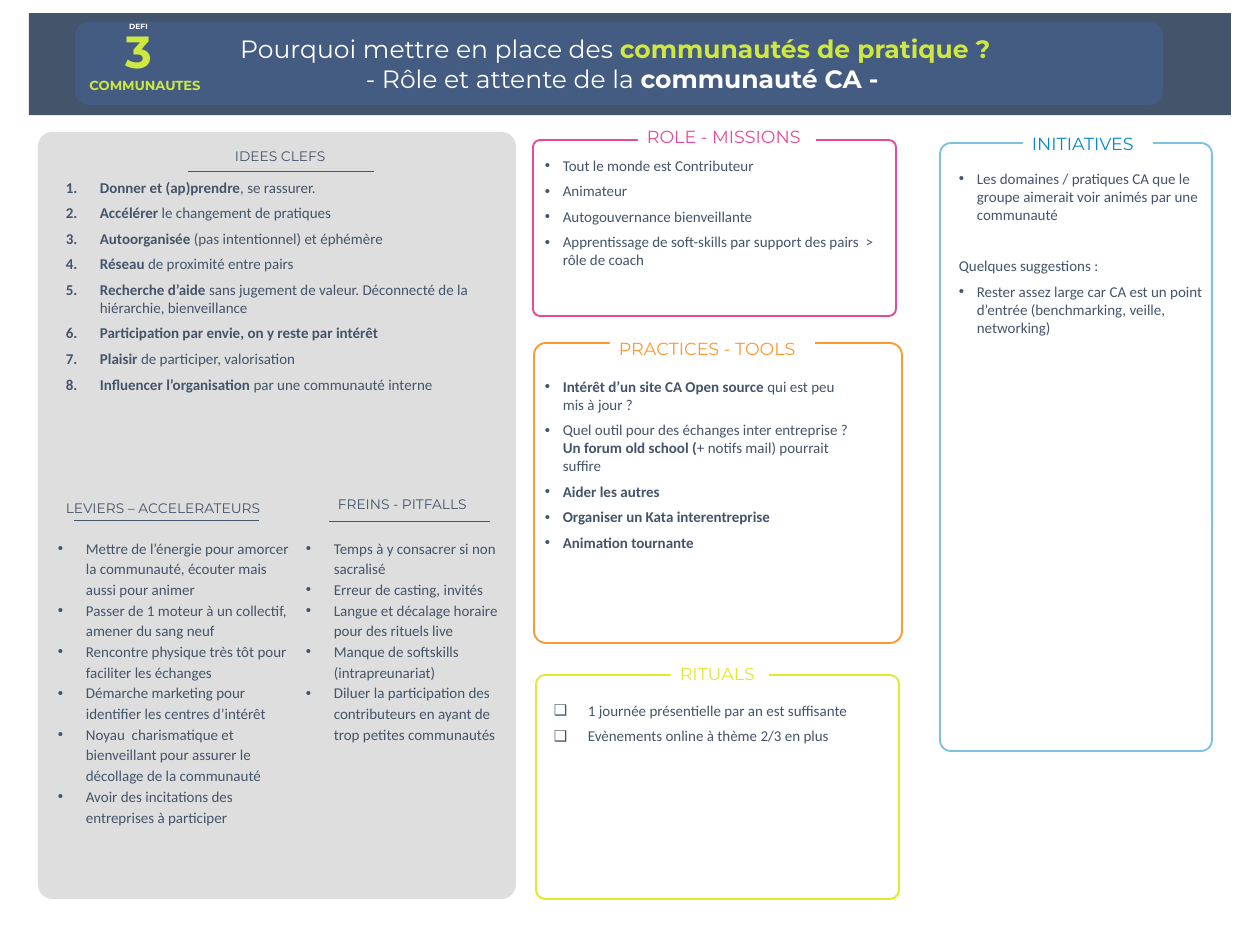
import pptx
import pptx.util
import pptx.dml.color
import pptx.enum.shapes
import pptx.enum.text
import pptx.oxml.ns
import lxml.etree

RGB = pptx.dml.color.RGBColor
KIND = pptx.enum.shapes.MSO_SHAPE
ALIGN = pptx.enum.text.PP_ALIGN
SIZING = pptx.enum.text.MSO_AUTO_SIZE
ANCHOR = pptx.enum.text.MSO_ANCHOR

WHITE = RGB(0xFF, 0xFF, 0xFF)
SLATE = RGB(0x44, 0x54, 0x6A)
GRAY = RGB(0xA6, 0xA6, 0xA6)
BLUE = RGB(0x44, 0x72, 0xC4)
LIME = RGB(0xCF, 0xE8, 0x41)
SKY = RGB(0x7C, 0xC2, 0xE0)
AZURE = RGB(0x04, 0x8B, 0xC3)
YELLOW = RGB(0xE5, 0xE7, 0x2E)
ORANGE = RGB(0xFF, 0x98, 0x32)
PINK = RGB(0xEA, 0x49, 0x95)


def px(count):
    return pptx.util.Emu(count * 10160)


def child(parent, tag, **attrs):
    return lxml.etree.SubElement(parent, pptx.oxml.ns.qn(tag), **attrs)


class Board:
    title_font = "Montserrat"
    body_font = "Calibri"

    def __init__(self, slide):
        self.slide = slide

    def box(self, x, y, w, h, fill=None, line=None, round=0.0, alpha=None):
        shape = self.slide.shapes.add_shape(
            KIND.ROUNDED_RECTANGLE, px(x), px(y), px(w), px(h))
        shape.adjustments[0] = round
        shape.shadow.inherit = False
        if fill is None:
            shape.fill.background()
        else:
            shape.fill.solid()
            shape.fill.fore_color.rgb = fill
        if alpha:
            color = shape.fill._xPr.find(".//" + pptx.oxml.ns.qn("a:srgbClr"))
            child(color, "a:alpha", val=str(alpha * 1000))
        if line is None:
            shape.line.fill.background()
        else:
            shape.line.color.rgb = line
            shape.line.width = pptx.util.Pt(1.5)
        return shape

    def run(self, para, text, size, color, bold=False, font=None):
        run = para.add_run()
        run.text = text
        run.font.name = font or self.title_font
        run.font.size = pptx.util.Pt(size)
        run.font.color.rgb = color
        run.font.bold = bold

    def frame(self, x, y, w, h, wrap=True):
        shape = self.slide.shapes.add_textbox(px(x), px(y), px(w), px(h))
        shape.text_frame.word_wrap = wrap
        shape.text_frame.auto_size = SIZING.SHAPE_TO_FIT_TEXT
        return shape

    def label(self, x, y, w, h, text, size, color, bold=False,
              align=ALIGN.LEFT, wrap=False, inset=True, fill=None):
        shape = self.frame(x, y, w, h, wrap)
        if fill is not None:
            shape.fill.solid()
            shape.fill.fore_color.rgb = fill
        text_frame = shape.text_frame
        if not inset:
            text_frame.margin_left = text_frame.margin_right = 0
            text_frame.margin_top = text_frame.margin_bottom = 0
        para = text_frame.paragraphs[0]
        para.alignment = align
        self.run(para, text, size, color, bold)

    def rule(self, x, y, w):
        line = self.slide.shapes.add_connector(
            pptx.enum.shapes.MSO_CONNECTOR.STRAIGHT, px(x), px(y), px(x + w), px(y))
        line.line.color.rgb = SLATE
        line.line.width = pptx.util.Pt(0.5)
        child(line._element.spPr, "a:effectLst")

    def items(self, x, y, w, h, rows, mark="•", indent=18, after=6, lead=1.0):
        text_frame = self.frame(x, y, w, h).text_frame
        for i, row in enumerate(rows):
            para = text_frame.paragraphs[0] if i == 0 else text_frame.add_paragraph()
            para.space_after = pptx.util.Pt(after)
            para.line_spacing = lead
            if not row.startswith("#"):
                self.mark(para, mark, indent)
            for j, part in enumerate(row.lstrip("#").split("*")):
                if part:
                    self.run(para, part, 12, SLATE, j % 2 == 1, self.body_font)
        return text_frame

    def mark(self, para, mark, indent):
        props = para._p.get_or_add_pPr()
        props.set("marL", str(px(indent)))
        props.set("indent", str(-px(indent)))
        if mark == "1.":
            child(props, "a:buFont", typeface="+mj-lt")
            child(props, "a:buAutoNum", type="arabicPeriod")
        else:
            child(props, "a:buFont", typeface="Arial")
            child(props, "a:buChar", char=mark)

    def banner(self, x, y, w, h, lines):
        shape = self.box(x, y, w, h, BLUE, round=0.17, alpha=27)
        text_frame = shape.text_frame
        text_frame.word_wrap = True
        text_frame.vertical_anchor = ANCHOR.MIDDLE
        for i, line in enumerate(lines):
            para = text_frame.paragraphs[0] if i == 0 else text_frame.add_paragraph()
            para.alignment = ALIGN.CENTER
            for text, color, bold in line:
                self.run(para, text, 20, color, bold)


def main():
    deck = pptx.Presentation()
    deck.slide_width, deck.slide_height = px(1260), px(945)
    board = Board(deck.slides.add_slide(deck.slide_layouts[6]))

    board.box(38, 132, 478, 767, GRAY, round=0.03, alpha=37)
    board.box(29, 13, 1202, 102, SLATE)
    board.banner(75, 22, 1088, 83, [
        [("Pourquoi mettre en place des ", WHITE, False),
         ("communautés de pratique ? ", LIME, True)],
        [(" - Rôle et attente de la ", WHITE, False),
         ("communauté CA -", WHITE, True)]])

    ideas = board.items(950, 165, 271, 231, [
        "Les domaines / pratiques CA que le groupe aimerait voir animés par une communauté",
        "#Quelques suggestions :",
        "Rester assez large car CA est un point d’entrée (benchmarking, veille, networking)"])
    ideas.paragraphs[0].space_after = pptx.util.Pt(26.5)
    board.items(536, 152, 368, 122, [
        "Tout le monde est Contributeur",
        "Animateur",
        "Autogouvernance bienveillante",
        "Apprentissage de soft-skills par support des pairs  > rôle de coach"])
    board.items(536, 373, 331, 213, [
        "*Intérêt d’un site CA Open source *qui est peu mis à jour ?",
        "Quel outil pour des échanges inter entreprise ? "
        "*Un forum old school (*+ notifs mail) pourrait suffire",
        "*Aider les autres*",
        "*Organiser un Kata interentreprise*",
        "*Animation tournante*"])
    board.items(545, 697, 350, 82, [
        "1 journée présentielle par an est suffisante",
        "Evènements online à thème 2/3 en plus"], "❑", 34)
    board.items(57, 174, 445, 291, [
        "*Donner et (ap)prendre*, se rassurer.",
        "*Accélérer* le changement de pratiques",
        "*Autoorganisée *(pas intentionnel) et éphémère",
        "*Réseau *de proximité entre pairs",
        "*Recherche d’aide *sans jugement de valeur. "
        "Déconnecté de la hiérarchie, bienveillance",
        "*Participation par envie, on y reste par intérêt*",
        "*Plaisir *de participer, valorisation",
        "*Influencer l’organisation *par une communauté interne"], "1.", 34)
    board.items(49, 532, 256, 323, [
        "Mettre de l’énergie pour amorcer la communauté, écouter mais aussi pour animer",
        "Passer de 1 moteur à un collectif, amener du sang neuf",
        "Rencontre physique très tôt pour faciliter les échanges",
        "Démarche marketing pour identifier les centres d’intérêt",
        "Noyau  charismatique et bienveillant pour assurer le décollage de la communauté",
        "Avoir des incitations des entreprises à participer"],
        indent=28, after=0, lead=1.15)
    board.items(297, 532, 220, 217, [
        "Temps à y consacrer si non sacralisé",
        "Erreur de casting, invités",
        "Langue et décalage horaire pour des rituels live",
        "Manque de softskills (intrapreunariat)",
        "Diluer la participation des contributeurs en ayant de trop petites communautés"],
        indent=28, after=0, lead=1.15)

    for text, x, y, w, left, top, wide in [
            ("IDEES CLEFS", 226, 143, 112, 188, 171, 186),
            ("LEVIERS – ACCELERATEURS", 57, 495, 221, 74, 520, 185),
            ("FREINS - PITFALLS", 329, 491, 154, 329, 521, 161)]:
        board.label(x, y, w, 26, text, 11, SLATE)
        board.rule(left, top, wide)

    for text, color, edge, frame, x, y, w in [
            ("INITIATIVES", AZURE, SKY, (940, 143, 272, 608), 1023, 129, 130),
            ("RITUALS", YELLOW, YELLOW, (536, 675, 363, 224), 671, 659, 98),
            ("PRACTICES - TOOLS", ORANGE, ORANGE, (534, 343, 368, 300), 610, 334, 205),
            ("ROLE - MISSIONS", PINK, PINK, (533, 140, 363, 176), 638, 122, 178)]:
        board.box(*frame, line=edge, round=0.04)
        board.label(x, y, w, 31, text, 14, color, fill=WHITE)

    board.label(116, 19, 45, 64, "3", 36, LIME, True, ALIGN.CENTER)
    board.label(126, 22, 25, 9, "DEFI", 6, WHITE, True, ALIGN.CENTER, True, False)
    board.label(75, 73, 140, 25, "COMMUNAUTES", 10.5, LIME, True, ALIGN.CENTER, True)
    deck.save("out.pptx")


if __name__ == "__main__":
    main()
